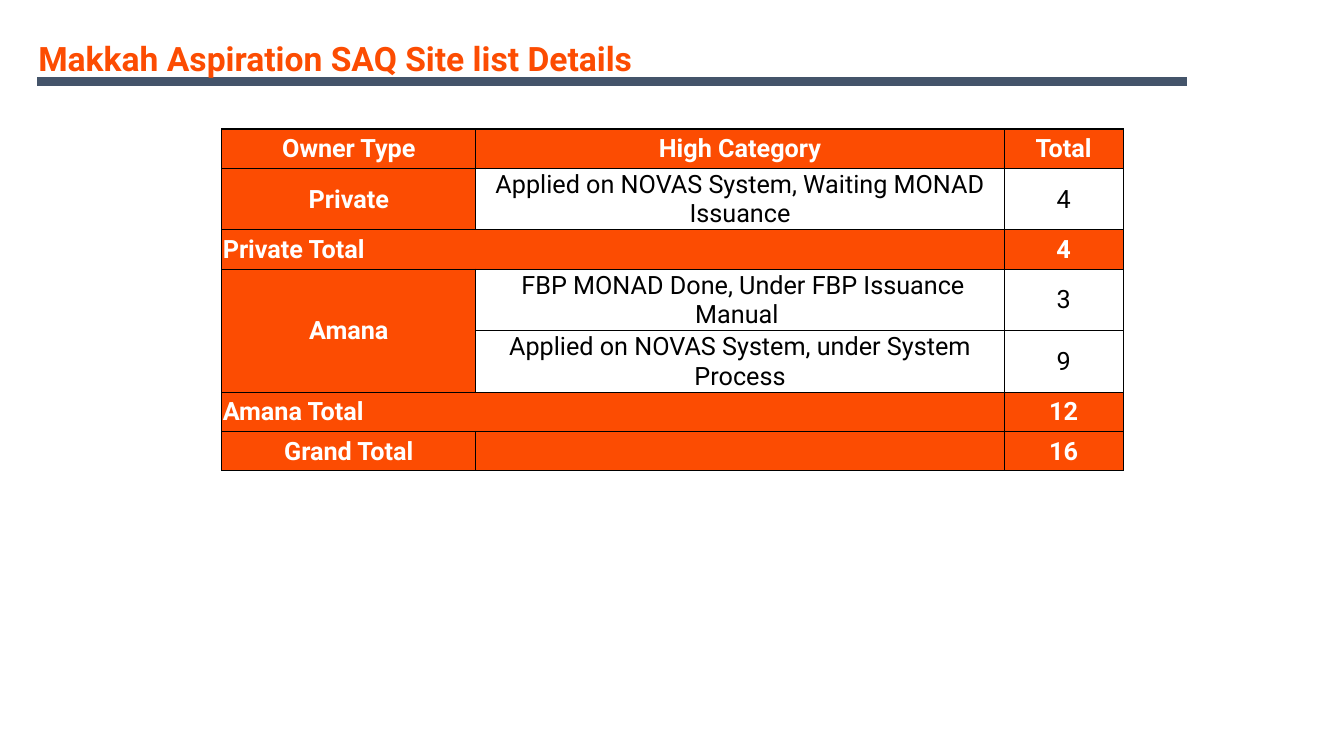
from lxml import etree
from pptx import Presentation
from pptx.dml.color import RGBColor
from pptx.enum.shapes import MSO_SHAPE
from pptx.enum.text import MSO_ANCHOR, PP_ALIGN
from pptx.oxml.ns import qn
from pptx.util import Inches, Pt

BAR = MSO_SHAPE.FLOWCHART_PROCESS
MIDDLE = MSO_ANCHOR.MIDDLE
LEFT, CENTER = PP_ALIGN.LEFT, PP_ALIGN.CENTER
FONT = "Roboto"
ORANGE, SLATE, WHITE, BLACK = "FC4C02", "44546A", "FFFFFF", "000000"

COLS = [2.52, 5.24, 1.18]
ROW = 0.39
ROWS = [
    ["Owner Type", "High Category", "Total"],
    ["Private", "Applied on NOVAS System, Waiting MONAD Issuance", "4"],
    ["Private Total", "", "4"],
    ["Amana", " FBP MONAD Done, Under FBP Issuance Manual ", "3"],
    ["", "Applied on NOVAS System, under System Process", "9"],
    ["Amana Total", "", "12"],
    ["Grand Total", "", "16"],
]
DETAIL = (1, 3, 4)
SUBTOTAL = (2, 5)


def color(code):
    return RGBColor.from_string(code)


def write(frame, text, size=18, tone=WHITE, bold=True, align=CENTER, space=1.0):
    para = frame.paragraphs[0]
    para.alignment = align
    para.line_spacing = space
    run = para.add_run()
    run.text = text
    font = run.font
    font.name, font.size, font.bold = FONT, Pt(size), bold
    font.color.rgb = color(tone)


def border(cell, sides):
    # Cell lines come before the fill in the cell properties
    props = cell._tc.get_or_add_tcPr()
    for spot, side in enumerate("LRTB"):
        line = etree.Element(qn(f"a:ln{side}"), w=str(Pt(1)))
        if side in sides:
            fill = etree.SubElement(line, qn("a:solidFill"))
            etree.SubElement(fill, qn("a:srgbClr"), val=BLACK)
        else:
            etree.SubElement(line, qn("a:noFill"))
        props.insert(spot, line)


def header(slide, left, top, width):
    # Rule under the title
    bar = slide.shapes.add_shape(BAR, Inches(left + 0.06), Inches(top + 0.38),
                                 Inches(width - 0.29), Inches(0.09))
    bar.shadow.inherit = False
    bar.fill.solid()
    bar.fill.fore_color.rgb = color(SLATE)
    bar.line.fill.background()

    # Title
    box = slide.shapes.add_textbox(Inches(left), Inches(top),
                                   Inches(width), Inches(0.45))
    frame = box.text_frame
    frame.word_wrap = True
    frame.margin_left = frame.margin_right = Inches(0.07)
    frame.margin_top = frame.margin_bottom = Inches(0.04)
    write(frame, "Makkah Aspiration SAQ Site list Details",
          size=24, tone=ORANGE, align=LEFT, space=0.9)


def sites(slide, left, top):
    shape = slide.shapes.add_table(len(ROWS), len(COLS), Inches(left), Inches(top),
                                   Inches(sum(COLS)), Inches(ROW * len(ROWS)))
    table = shape.table
    table.first_row = table.horz_banding = False
    for col, width in zip(table.columns, COLS):
        col.width = Inches(width)
    for row in table.rows:
        row.height = Inches(ROW)

    # Cells
    for r, row in enumerate(ROWS):
        for c, text in enumerate(row):
            cell = table.cell(r, c)
            cell.vertical_anchor = MIDDLE
            cell.margin_left = cell.margin_right = cell.margin_top = Inches(0.01)
            cell.margin_bottom = 0
            plain = r in DETAIL and c > 0
            if plain:
                cell.fill.background()
            else:
                cell.fill.solid()
                cell.fill.fore_color.rgb = color(ORANGE)
            sides = "LRTB"
            if r in SUBTOTAL and c < 2:
                sides = ("LTB", "RTB")[c]
            border(cell, sides)
            if text:
                write(cell.text_frame, text, tone=BLACK if plain else WHITE,
                      bold=not plain,
                      align=LEFT if r in SUBTOTAL and c == 0 else CENTER)

    # Merged cells
    table.cell(3, 0).merge(table.cell(4, 0))
    table.cell(5, 0).merge(table.cell(5, 1))


def main():
    deck = Presentation()
    deck.slide_width, deck.slide_height = Inches(13.33), Inches(7.5)
    slide = deck.slides.add_slide(deck.slide_layouts[6])
    header(slide, 0.31, 0.38, 11.69)
    sites(slide, 2.2, 1.28)
    deck.save("out.pptx")


if __name__ == "__main__":
    main()
